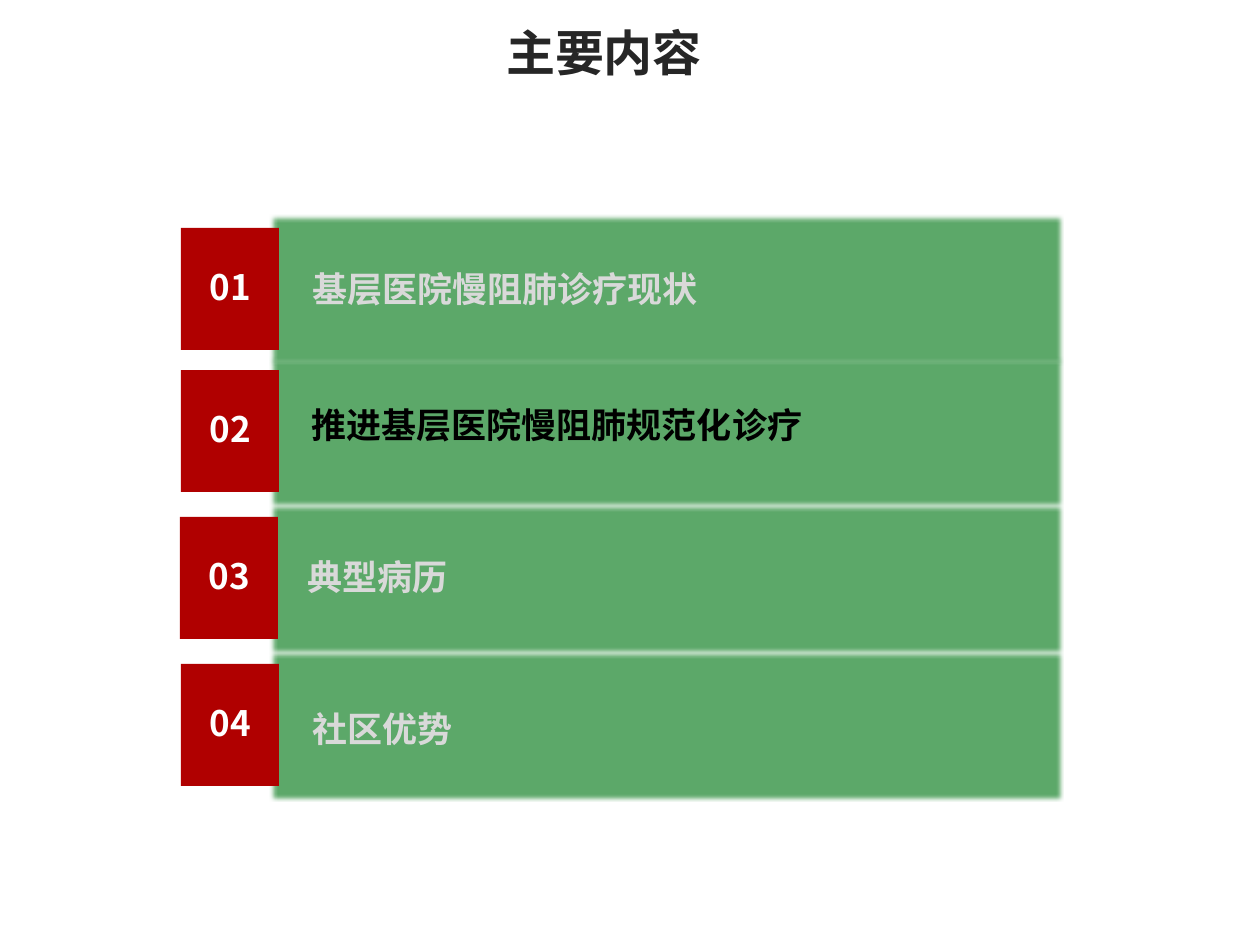
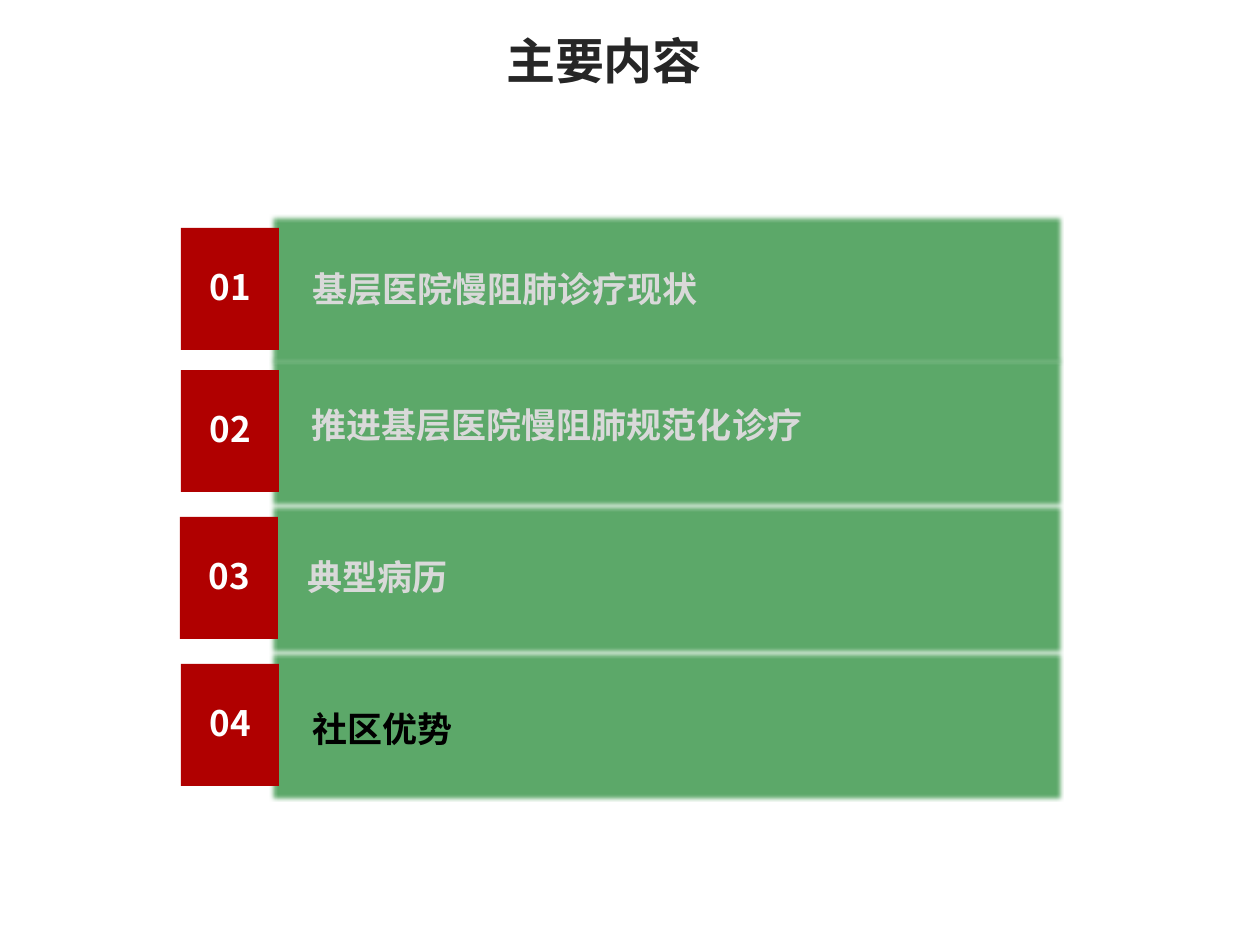
from pptx import Presentation
from pptx.dml.color import RGBColor as RGB
from pptx.enum.shapes import MSO_SHAPE as SHAPE
from pptx.enum.text import MSO_ANCHOR as ANCHOR, MSO_AUTO_SIZE as FIT, PP_ALIGN as ALIGN
from pptx.oxml.ns import qn
from pptx.util import Pt
from lxml.etree import SubElement as Sub

PX = 914400 / 126
FONT = "Noto Sans CJK SC"
COLORS = {"title": "262626", "band": "5CA869", "square": "B00000",
          "number": "FFFFFF", "dim": "D9D9D9", "active": "000000"}
TITLE = {"size": Pt(28), "bold": True, "name": FONT}
ITEM = {"size": Pt(20), "bold": True, "name": FONT}
ROWS = [
    ("基层医院慢阻肺诊疗现状", 181, 228, (300, 261, 616, 97)),
    ("推进基层医院慢阻肺规范化诊疗", 181, 370, (299, 397, 675, 55)),
    ("典型病历", 180, 517, (295, 549, 748, 55)),
    ("社区优势", 181, 664, (300, 701, 745, 55)),
]
AGENDAS = [(16, 2), (24, 4)]


def emu(*px):
    return [round(v * PX) for v in px]


class Deck:
    def __init__(self, prs):
        self.prs = prs
        self.slide = None

    def new_slide(self):
        self.slide = self.prs.slides.add_slide(self.prs.slide_layouts[5])

    def set_text(self, sp, text, color, style, align):
        tf = sp.text_frame
        for name, value in {"word_wrap": True, "vertical_anchor": ANCHOR.TOP,
                            "auto_size": FIT.SHAPE_TO_FIT_TEXT}.items():
            setattr(tf, name, value)
        p = tf.paragraphs[0]
        p.alignment = align
        r = p.add_run()
        r.text = text
        for name, value in style.items():
            setattr(r.font, name, value)
        r.font.color.rgb = RGB.from_string(COLORS[color])
        Sub(r._r.get_or_add_rPr(), qn("a:ea"), typeface=FONT)

    def title(self, text, box):
        sp = self.slide.shapes.title
        sp.left, sp.top, sp.width, sp.height = emu(*box)
        self.set_text(sp, text, "title", TITLE, ALIGN.CENTER)

    def text(self, text, box, color, align=ALIGN.LEFT):
        sp = self.slide.shapes.add_textbox(*emu(*box))
        self.set_text(sp, text, color, ITEM, align)

    def rect(self, box, color):
        sp = self.slide.shapes.add_shape(SHAPE.RECTANGLE, *emu(*box))
        sp.shadow.inherit = False
        sp.fill.solid()
        sp.fill.fore_color.rgb = RGB.from_string(COLORS[color])
        sp.line.fill.background()
        return sp

    def band(self, box):
        pr = self.rect(box, "band")._element.spPr
        Sub(pr.find(qn("a:solidFill"))[0], qn("a:alpha"), val="96000")
        glow = Sub(pr.find(qn("a:effectLst")), qn("a:glow"), rad=str(Pt(5)))
        Sub(glow, qn("a:srgbClr"), val=COLORS["band"])

    def row(self, number, label, x, y, label_box, color):
        self.band((286, y + 3, 760, 117))
        self.rect((x, y, 98, 122), "square")
        self.text(f"{number:02}", (x + 11, y + 31, 77, 55), "number", ALIGN.CENTER)
        self.text(label, label_box, color)


def main():
    prs = Presentation()
    prs.slide_width, prs.slide_height = emu(1260, 945)
    deck = Deck(prs)
    for title_top, active in AGENDAS:
        deck.new_slide()
        deck.title("主要内容", (398, title_top, 412, 72))
        for number, row in enumerate(ROWS, 1):
            deck.row(number, *row, "active" if number == active else "dim")
    prs.save("out.pptx")


if __name__ == "__main__":
    main()
